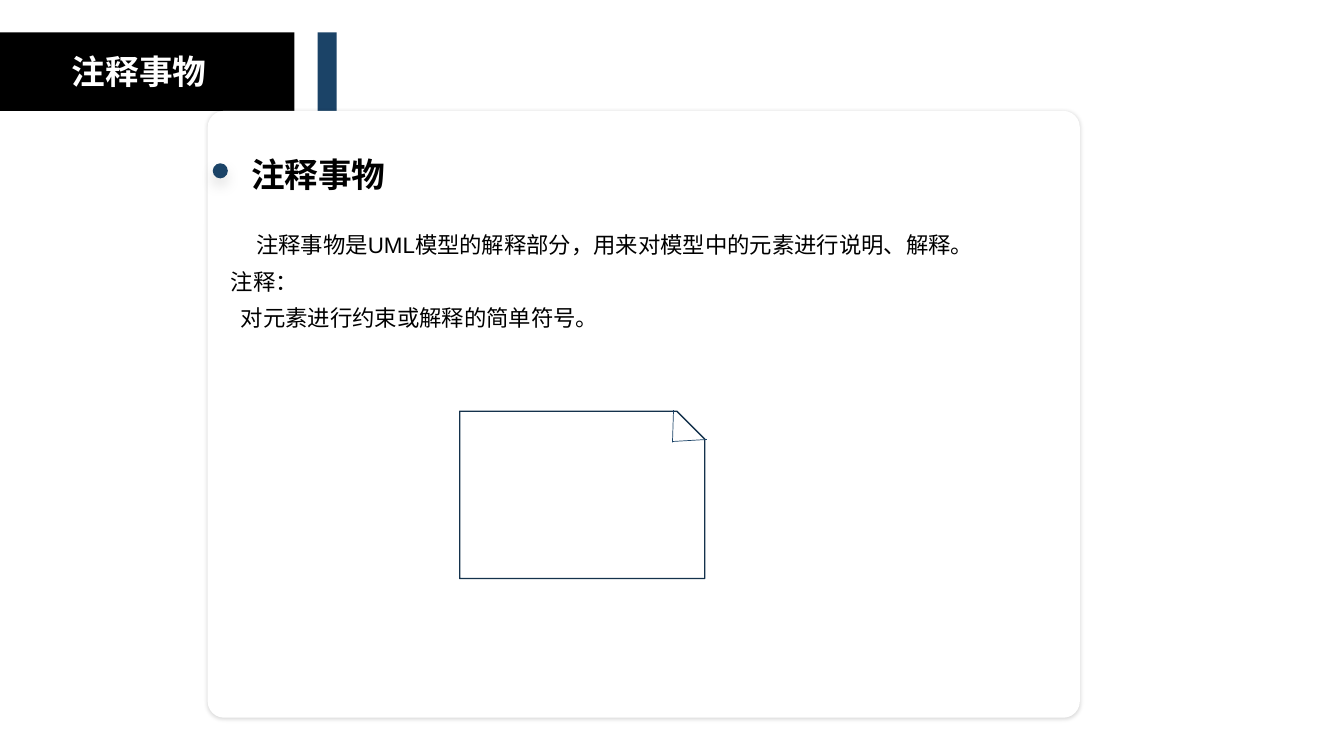
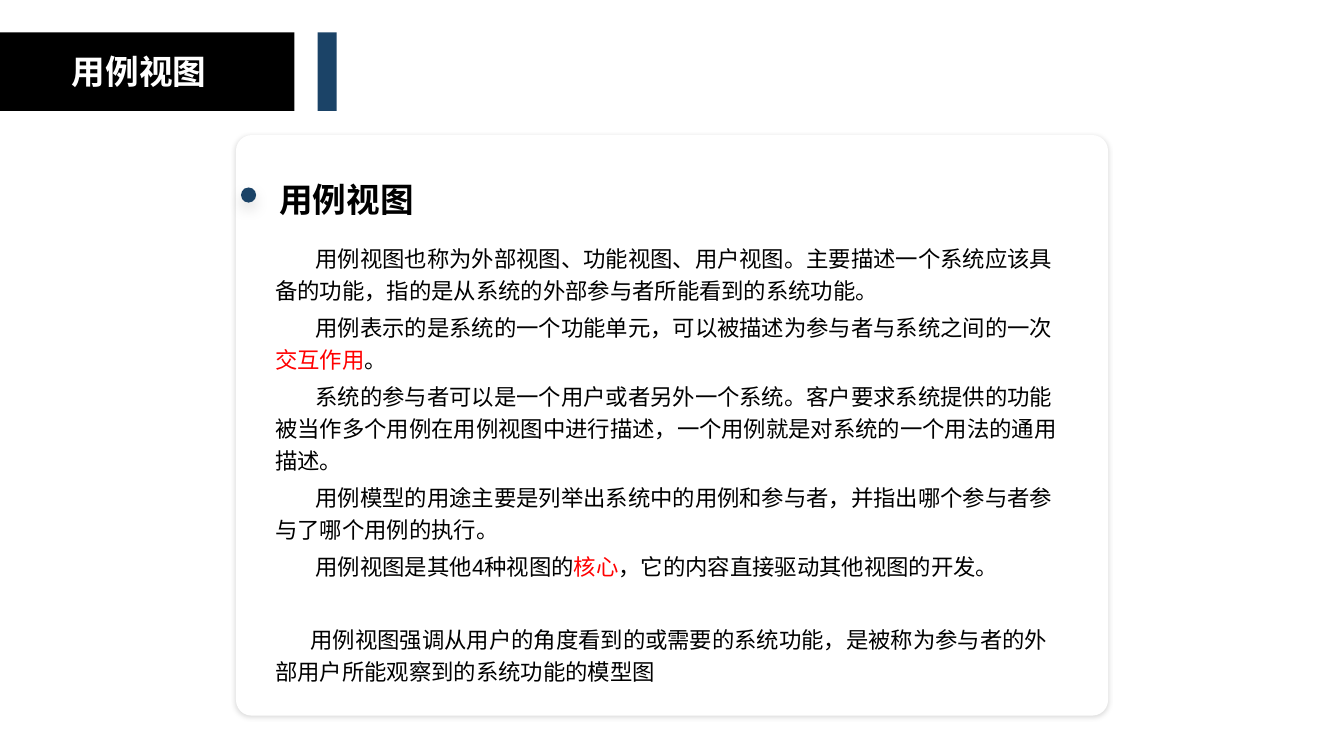
from lxml import etree
from pptx import Presentation
from pptx.dml.color import RGBColor
from pptx.enum import lang, shapes, text
from pptx.oxml import parse_xml
from pptx.oxml.ns import nsdecls, qn
from pptx.util import Inches, Pt

HUE = {"ink": "000000", "navy": "1B4367", "edge": "14324C",
       "red": "FF0000", "white": "FFFFFF"}
CJK = "Noto Sans CJK SC"
KIND = shapes.MSO_SHAPE


def add_box(slide, kind, at, fill=None, glow=None):
    """Add a borderless shape; glow is alpha %, blur pt, distance pt."""
    box = slide.shapes.add_shape(kind, *map(Inches, at))
    box.shadow.inherit = False
    box.line.fill.background()
    if fill:
        box.fill.solid()
        box.fill.fore_color.rgb = RGBColor.from_string(HUE[fill])
    else:
        box.fill.background()
    if glow:
        alpha, blur, dist = glow
        box.shadow.inherit = True
        box._element.spPr.append(parse_xml(
            f'<a:effectLst {nsdecls("a")}><a:outerShdw blurRad="{Pt(blur)}" '
            f'dist="{Pt(dist)}" dir="5400000" algn="t" rotWithShape="0">'
            f'<a:srgbClr val="{HUE["ink"]}"><a:alpha val="{alpha * 1000}"/>'
            '</a:srgbClr></a:outerShdw></a:effectLst>'))
    return box


def add_text(slide, at, paras, size, face="Arial", bold=False, inset=0):
    """Add a text box; each paragraph is an indent and (words, colour) runs."""
    frame = slide.shapes.add_textbox(*map(Inches, at)).text_frame
    frame.word_wrap = True
    if not inset:
        frame.margin_left = frame.margin_right = 0
        frame.margin_top = frame.margin_bottom = 0
    for i, (indent, runs) in enumerate(paras):
        para = frame.add_paragraph() if i else frame.paragraphs[0]
        if indent:
            para._p.get_or_add_pPr().set("indent", str(Inches(indent)))
        for words, hue in runs:
            run = para.add_run()
            run.text = words
            font = run.font
            font.name, font.size, font.bold = face, Pt(size), bold
            font.color.rgb = RGBColor.from_string(HUE[hue])
            font.language_id = lang.MSO_LANGUAGE_ID.SIMPLIFIED_CHINESE
            etree.SubElement(run._r.rPr, qn("a:ea"), typeface=CJK)
    return frame


# Content: title, card place, body place, paragraphs, gap before the last one
pages = [
    ("注释事物", (2.06, 1.1, 8.65, 6.02), (2.29, 2.24, 8.2, 1.45), [
        (0.25, [("注释事物是UML模型的解释部分，用来对模型中的元素进行说明、解释。", "ink")]),
        (0, [("注释：", "ink")]),
        (0.1, [("对元素进行约束或解释的简单符号。", "ink")]),
    ], 3.2),
    ("用例视图", (2.34, 1.34, 8.65, 5.76), (2.73, 2.38, 7.79, 4.51), [
        (0.4, [("用例视图也称为外部视图、功能视图、用户视图。主要描述一个系统应该具备的功能，"
                "指的是从系统的外部参与者所能看到的系统功能。", "ink")]),
        (0.4, [("用例表示的是系统的一个功能单元，可以被描述为参与者与系统之间的一次", "ink"),
               ("交互作用", "red"), ("。", "ink")]),
        (0.4, [("系统的参与者可以是一个用户或者另外一个系统。客户要求系统提供的功能被当作"
                "多个用例在用例视图中进行描述，一个用例就是对系统的一个用法的通用描述。", "ink")]),
        (0.4, [("用例模型的用途主要是列举出系统中的用例和参与者，"
                "并指出哪个参与者参与了哪个用例的执行。", "ink")]),
        (0.4, [("用例视图是其他4种视图的", "ink"), ("核心", "red"),
               ("，它的内容直接驱动其他视图的开发。", "ink")]),
        (0.35, [("用例视图强调从用户的角度看到的或需要的系统功能，"
                 "是被称为参与者的外部用户所能观察到的系统功能的模型图", "ink")]),
    ], 29),
]

deck = Presentation()
deck.slide_width, deck.slide_height = Inches(13.33), Inches(7.5)

for title, card, body, paras, gap in pages:
    slide = deck.slides.add_slide(deck.slide_layouts[6])

    # Title band
    add_box(slide, KIND.RECTANGLE, (0, 0.32, 2.92, 0.78), "ink")
    add_box(slide, KIND.RECTANGLE, (3.15, 0.32, 0.19, 0.78), "navy")
    band = add_text(slide, (0, 0.46, 2.76, 0.5), [(0, [(title, "white")])],
                    24, CJK, True, inset=1)
    band.paragraphs[0].alignment = text.PP_ALIGN.CENTER

    # Card with its bullet dot and heading
    left, top = card[:2]
    panel = add_box(slide, KIND.ROUNDED_RECTANGLE, card, "white", (15, 3, 1))
    panel.adjustments[0] = 0.027
    add_box(slide, KIND.OVAL, (left + 0.05, top + 0.52, 0.15, 0.15),
            "navy", (12, 10, 5))
    head = add_text(slide, (left + 0.43, top + 0.35, 4.14, 0.48),
                    [(0, [(title, "ink")])], 24, bold=True)
    head.paragraphs[0].line_spacing = 1.2

    # Body text
    lines = add_text(slide, body, paras, 16).paragraphs
    for para in lines:
        para.line_spacing = 1.2
    for para in lines[1:]:
        para.space_before = Pt(3.2)
    lines[-1].space_before = Pt(gap)

# Note symbol with a folded corner
slide = deck.slides[0]
note = add_box(slide, KIND.SNIP_1_RECTANGLE, (4.56, 4.08, 2.43, 1.66))
note.line.color.rgb = RGBColor.from_string(HUE["edge"])
note.line.width = Pt(1)
for ends in [(6.68, 4.07, 6.67, 4.39), (6.67, 4.38, 7.01, 4.36)]:
    fold = slide.shapes.add_connector(shapes.MSO_CONNECTOR.STRAIGHT,
                                      *map(Inches, ends))
    fold.line.color.rgb = RGBColor.from_string(HUE["navy"])
    fold.line.width = Pt(0.5)
    etree.SubElement(fold._element.spPr, qn("a:effectLst"))

deck.save("out.pptx")
